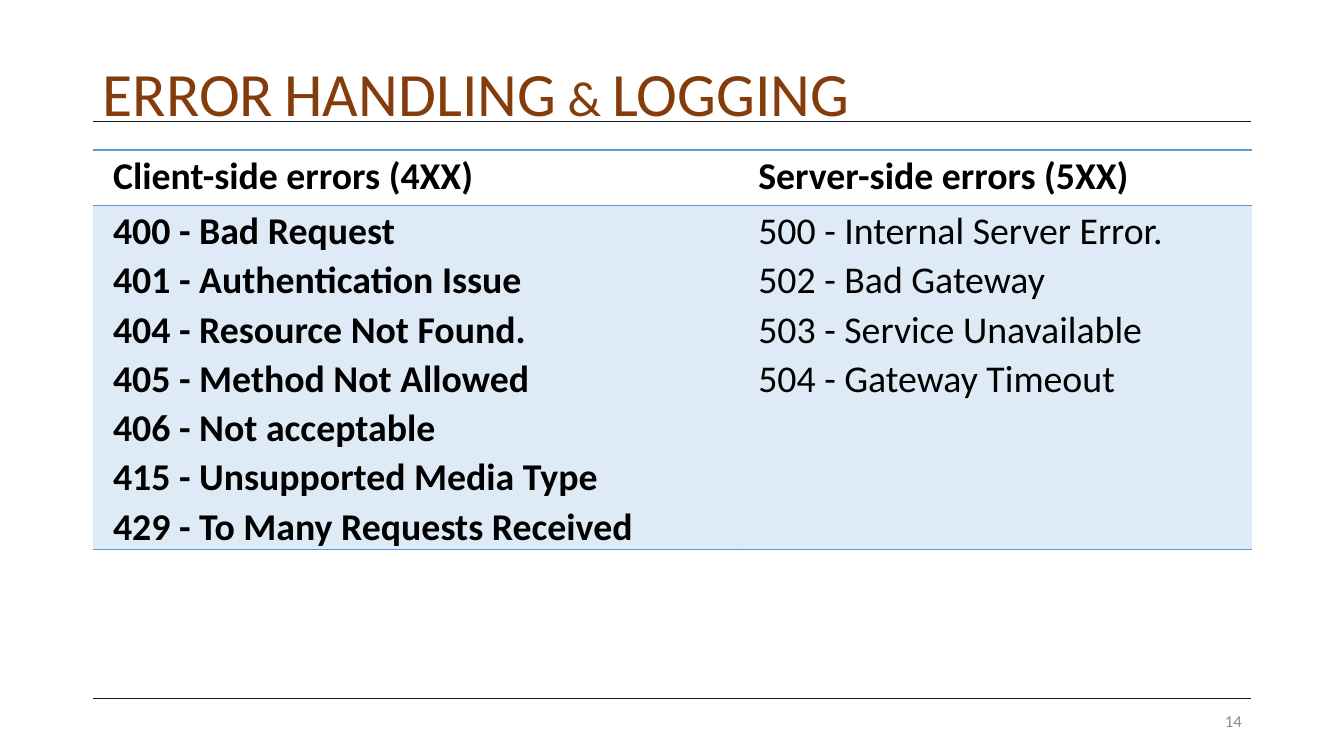
from lxml.etree import SubElement
from pptx import Presentation
from pptx.dml.color import RGBColor
from pptx.enum.shapes import MSO_CONNECTOR as Connector
from pptx.enum.text import MSO_ANCHOR as Anchor, PP_ALIGN as Align
from pptx.oxml.ns import qn
from pptx.util import Cm, Pt

COLORS = {
    "title": "843C0B",
    "rule": "1A171B",
    "number": "8C8C8C",
    "text": "000000",
    "accent": "5B9BD5",
}
FONT = "Calibri"
LEFT, RIGHT = 2.34, 31.52
HEADERS = ["Client-side errors (4XX)", "Server-side errors (5XX)"]
CLIENT_ERRORS = [
    "400 - Bad Request",
    "401 - Authentication Issue",
    "404 - Resource Not Found.",
    "405 - Method Not Allowed",
    "406 - Not acceptable",
    "415 - Unsupported Media Type",
    "429 - To Many Requests Received",
]
SERVER_ERRORS = [
    "500 - Internal Server Error.",
    "502 - Bad Gateway",
    "503 - Service Unavailable",
    "504 - Gateway Timeout",
]


def add_run(paragraph, text, size, color, bold=False):
    """Add one formatted run to a paragraph and return it."""
    run = paragraph.add_run()
    run.text = text
    run.font.name = FONT
    run.font.size = Pt(size)
    run.font.bold = bold
    run.font.color.rgb = RGBColor.from_string(COLORS[color])
    return run


def add_rule(slide, y):
    """Draw a thin horizontal rule across the content width."""
    line = slide.shapes.add_connector(Connector.STRAIGHT, Cm(LEFT), Cm(y), Cm(RIGHT), Cm(y))
    line.line.color.rgb = RGBColor.from_string(COLORS["rule"])
    line.line.width = Pt(0.25)
    SubElement(line._element.spPr, qn("a:effectLst"))


def add_text_box(slide, left, top, width, height, anchor):
    """Add a wrapping text box and return its first paragraph."""
    frame = slide.shapes.add_textbox(Cm(left), Cm(top), Cm(width), Cm(height)).text_frame
    frame.word_wrap = True
    frame.vertical_anchor = anchor
    return frame.paragraphs[0]


def add_title(slide, text):
    """Add the slide title in small capitals."""
    paragraph = add_text_box(slide, LEFT, 0.81, 29.21, 2.59, Anchor.BOTTOM)
    paragraph.line_spacing = 0.9
    run = add_run(paragraph, text, 44, "title")
    run.font._element.set("cap", "small")


def add_page_number(slide, text):
    """Add the page number at the lower right."""
    paragraph = add_text_box(slide, 23.93, 17.65, 7.62, 1.02, Anchor.MIDDLE)
    paragraph.alignment = Align.RIGHT
    paragraph.space_after = Pt(6)
    add_run(paragraph, text, 12, "number")


def set_borders(cell):
    """Give a cell accent lines above and below and none at the sides."""
    properties = cell._tc.get_or_add_tcPr()
    for side in ("lnL", "lnR"):
        SubElement(SubElement(properties, qn(f"a:{side}"), w="0"), qn("a:noFill"))
    for side in ("lnT", "lnB"):
        line = SubElement(properties, qn(f"a:{side}"), w=str(Pt(1)))
        fill = SubElement(line, qn("a:solidFill"))
        SubElement(fill, qn("a:srgbClr"), val=COLORS["accent"])


def fill_cell(cell, lines, bold, shaded):
    """Write the lines of a cell and set its borders and fill."""
    cell.margin_left = cell.margin_right = Cm(0.51)
    cell.margin_top = cell.margin_bottom = Cm(0)
    cell.vertical_anchor = Anchor.TOP
    set_borders(cell)
    if shaded:
        cell.fill.solid()
        cell.fill.fore_color.rgb = RGBColor.from_string(COLORS["accent"])
        color = cell._tc.tcPr.find(qn("a:solidFill")).find(qn("a:srgbClr"))
        SubElement(color, qn("a:alpha"), val="20000")
    else:
        cell.fill.background()
    frame = cell.text_frame
    for index, text in enumerate(lines):
        paragraph = frame.add_paragraph() if index else frame.paragraphs[0]
        paragraph.line_spacing = 1.07
        add_run(paragraph, text, 27, "text", bold)


def add_error_table(slide):
    """Add the table of client and server error codes."""
    widths, heights = [16.26, 12.95], [1.4, 8.66]
    table = slide.shapes.add_table(
        2, 2, Cm(LEFT), Cm(3.78), Cm(sum(widths)), Cm(sum(heights))
    ).table
    table.first_row = table.horz_banding = False
    for column, width in zip(table.columns, widths):
        column.width = Cm(width)
    for row, height in zip(table.rows, heights):
        row.height = Cm(height)
    for index, errors in enumerate([CLIENT_ERRORS, SERVER_ERRORS]):
        fill_cell(table.cell(0, index), [HEADERS[index]], bold=True, shaded=False)
        fill_cell(table.cell(1, index), errors, bold=index == 0, shaded=True)


def main():
    """Build the error handling slide and save it."""
    presentation = Presentation()
    presentation.slide_width, presentation.slide_height = Cm(33.87), Cm(19.05)
    slide = presentation.slides.add_slide(presentation.slide_layouts[6])
    for y in (17.6, 3.05):
        add_rule(slide, y)
    add_title(slide, "ERROR HANDLING & LOGGING")
    add_page_number(slide, "14")
    add_error_table(slide)
    presentation.save("out.pptx")


if __name__ == "__main__":
    main()
